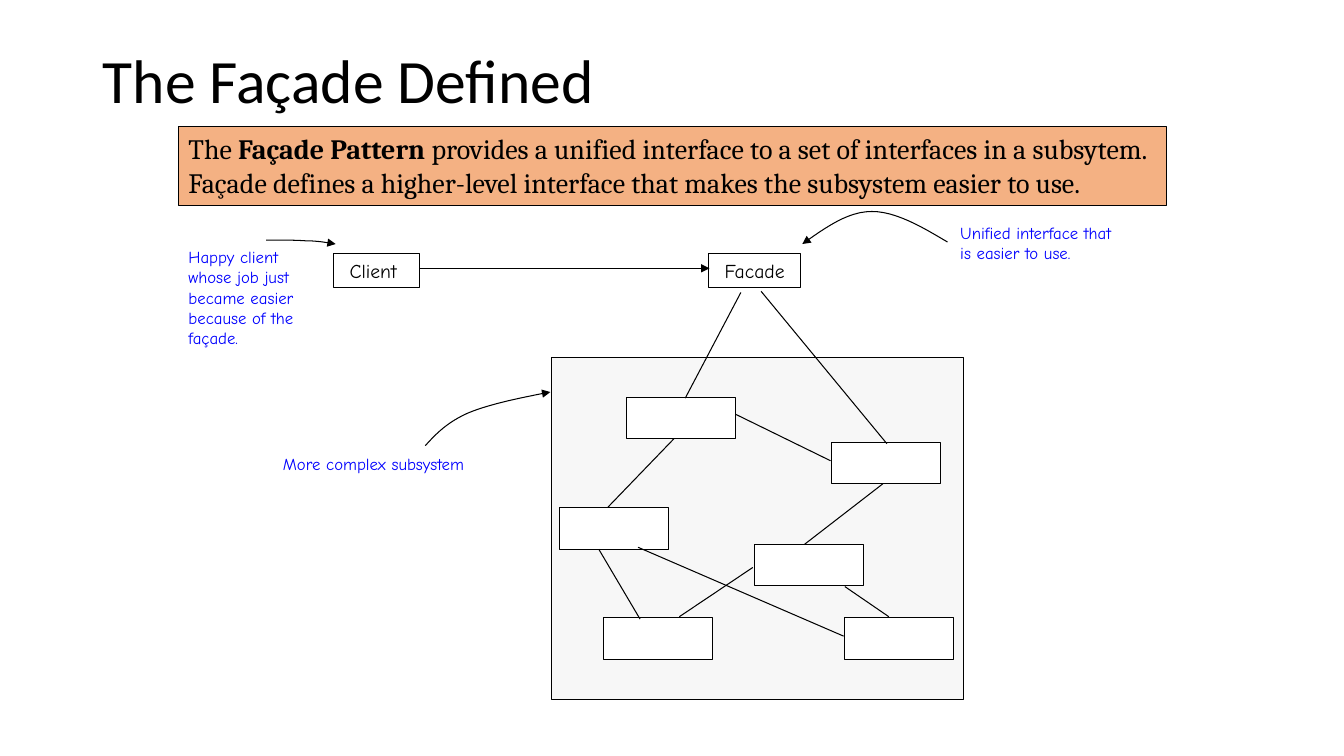
import pptx
import pptx.util
import pptx.dml.color
import pptx.enum.shapes
import pptx.enum.text
import pptx.oxml
import pptx.oxml.ns
from dataclasses import dataclass

Cm, Pt = pptx.util.Cm, pptx.util.Pt


@dataclass(frozen=True)
class Theme:
    title_font: str = "Calibri"
    body_font: str = "Cambria"
    note_font: str = "Comic Neue"
    title_size: int = 44
    body_size: int = 20
    label_size: int = 14
    note_size: int = 12
    ink: str = "000000"
    note: str = "0100FE"
    banner: str = "F4B183"
    panel: str = "E7E6E6"
    panel_opacity: int = 31
    box: str = "FFFFFF"
    line_width: float = 0.75


THEME = Theme()

# Content: all places are (left, top, width, height) or (x, y) in centimetres
TITLE = ("The Façade Defined", (2.34, 0.15, 29.21, 3.68))
DEFINITION = [
    ("The ", False),
    ("Façade Pattern", True),
    (" provides a unified interface to a set of interfaces in a subsytem. "
     "Façade defines a higher-level interface that makes the subsystem easier to use.", False),
]
DEFINITION_PLACE = (4.5, 3.2, 24.89, 1.98)
ROLES = [
    ("Client", (8.41, 6.38, 2.16, 0.86)),
    ("Facade", (17.86, 6.38, 2.31, 0.86)),
]
SUBSYSTEM_PLACE = (13.89, 9.02, 10.39, 8.61)
CLASS_SIZE = (2.74, 1.04)
CLASS_CORNERS = [(15.8, 10.01), (20.96, 11.15), (14.1, 12.8),
                 (19.02, 13.72), (15.21, 15.57), (21.29, 15.57)]
CALL = ((10.59, 6.76), (17.88, 6.76))
LINKS = [
    ((16.99, 11.05), (15.32, 12.78)),
    ((18.54, 10.44), (20.93, 11.61)),
    ((22.25, 12.19), (20.27, 13.72)),
    ((18.97, 14.3), (17.12, 15.54)),
    ((15.09, 13.84), (16.13, 15.6)),
    ((16.08, 13.79), (21.26, 16.03)),
    ((21.29, 14.78), (22.4, 15.54)),
    ((18.67, 7.37), (17.27, 10.03)),
    ((19.18, 7.34), (22.35, 11.18)),
]
# Each curve: start point, then three Bézier points per segment
NOTE_CURVES = [
    [(23.88, 6.1), (23.24, 5.72), (22.58, 5.33), (21.97, 5.33),
     (21.36, 5.33), (20.8, 5.74), (20.22, 6.15)],
    [(6.71, 6.05), (7.06, 6.05), (7.44, 6.05), (7.72, 6.07),
     (8.03, 6.07), (8.26, 6.12), (8.46, 6.15)],
    [(10.72, 11.23), (11, 10.92), (11.28, 10.64), (11.79, 10.41),
     (12.32, 10.19), (13.08, 10.03), (13.87, 9.88)],
]
NOTES = [
    ("Happy client whose job just became easier because of the façade.", (4.5, 6.1, 3.45, 2.82)),
    ("Unified interface that is easier to use.", (23.95, 5.49, 4.67, 1.27)),
    ("More complex subsystem", (6.88, 11.3, 5.89, 0.76)),
]
CURVE_STEPS = 12
ROLE_INSET = 0.4

presentation = pptx.Presentation()
presentation.slide_width, presentation.slide_height = Cm(33.87), Cm(19.05)
slide = presentation.slides.add_slide(presentation.slide_layouts[6])


def color(value):
    return pptx.dml.color.RGBColor.from_string(value)


def lengths(values):
    return [Cm(value) for value in values]


def add_element(parent, tag, **attributes):
    element = pptx.oxml.parse_xml(f"<a:{tag} {pptx.oxml.ns.nsdecls('a')}/>")
    for name, value in attributes.items():
        element.set(name, value)
    parent.append(element)


def style_line(shape, arrow=False):
    shape.line.color.rgb = color(THEME.ink)
    shape.line.width = Pt(THEME.line_width)
    if arrow:
        add_element(shape.line._get_or_add_ln(), "tailEnd", type="triangle")


def write(shape, runs, font, size, ink, middle=False):
    frame = shape.text_frame
    frame.word_wrap = True
    anchors = pptx.enum.text.MSO_ANCHOR
    frame.vertical_anchor = anchors.MIDDLE if middle else anchors.TOP
    paragraph = frame.paragraphs[0]
    paragraph.alignment = pptx.enum.text.PP_ALIGN.LEFT
    for text, bold in runs:
        run = paragraph.add_run()
        run.text = text
        run.font.name, run.font.size, run.font.bold = font, Pt(size), bold
        run.font.color.rgb = color(ink)


def add_text(text, place, font, size, ink, middle=False):
    write(slide.shapes.add_textbox(*lengths(place)), [(text, False)], font, size, ink, middle)


def add_box(place, fill=None):
    shape = slide.shapes.add_shape(pptx.enum.shapes.MSO_SHAPE.RECTANGLE, *lengths(place))
    shape.shadow.inherit = False
    if fill:
        shape.fill.solid()
        shape.fill.fore_color.rgb = color(fill)
    else:
        shape.fill.background()
    style_line(shape)
    return shape


def add_link(start, end, arrow=False):
    connector = slide.shapes.add_connector(
        pptx.enum.shapes.MSO_CONNECTOR.STRAIGHT, *lengths(start + end))
    style_line(connector, arrow)
    add_element(connector._element.spPr, "effectLst")


def curve_points(points):
    for first in range(0, len(points) - 1, 3):
        segment = points[first:first + 4]
        for step in range(1, CURVE_STEPS + 1):
            t = step / CURVE_STEPS
            weights = ((1 - t) ** 3, 3 * t * (1 - t) ** 2, 3 * t ** 2 * (1 - t), t ** 3)
            yield tuple(Cm(sum(w * point[axis] for w, point in zip(weights, segment)))
                        for axis in (0, 1))


def add_curve(points):
    builder = slide.shapes.build_freeform(*lengths(points[0]))
    builder.add_line_segments(list(curve_points(points)), close=False)
    shape = builder.convert_to_shape()
    shape.shadow.inherit = False
    shape.fill.background()
    style_line(shape, arrow=True)


# Title and definition
add_text(*TITLE, THEME.title_font, THEME.title_size, THEME.ink, middle=True)
write(add_box(DEFINITION_PLACE, THEME.banner), DEFINITION,
      THEME.body_font, THEME.body_size, THEME.ink)

# Client and facade
for name, place in ROLES:
    role = add_box(place)
    role.text_frame.margin_left = Cm(ROLE_INSET)
    role.text_frame.margin_right = 0
    write(role, [(name, False)], THEME.note_font, THEME.label_size, THEME.ink, middle=True)

# Subsystem panel and its classes
panel = add_box(SUBSYSTEM_PLACE, THEME.panel)
panel_color = panel._element.spPr.find(".//" + pptx.oxml.ns.qn("a:srgbClr"))
add_element(panel_color, "alpha", val=str(THEME.panel_opacity * 1000))
for corner in CLASS_CORNERS:
    add_box(corner + CLASS_SIZE, THEME.box)

# Links
for start, end in LINKS:
    add_link(start, end)
add_link(*CALL, arrow=True)

# Notes and their curved arrows
for points in NOTE_CURVES:
    add_curve(points)
for text, place in NOTES:
    add_text(text, place, THEME.note_font, THEME.note_size, THEME.note)

presentation.save("out.pptx")
